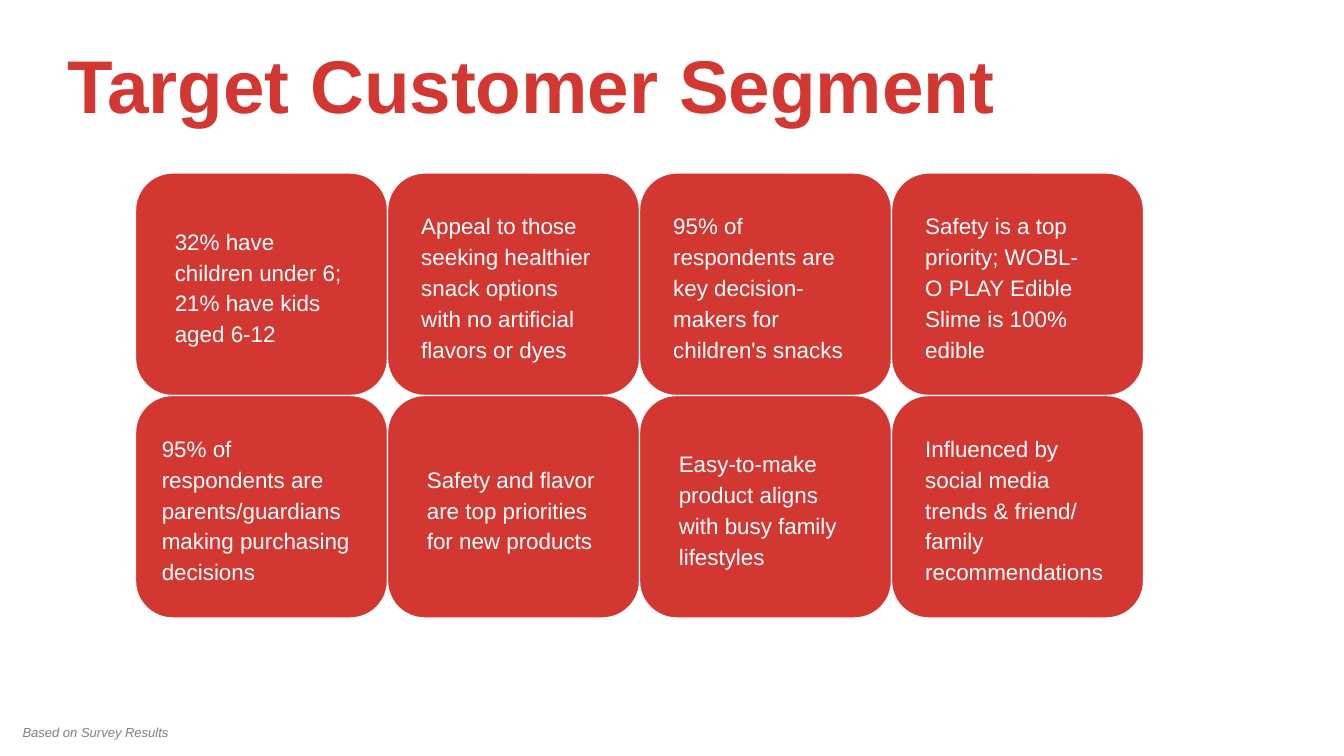
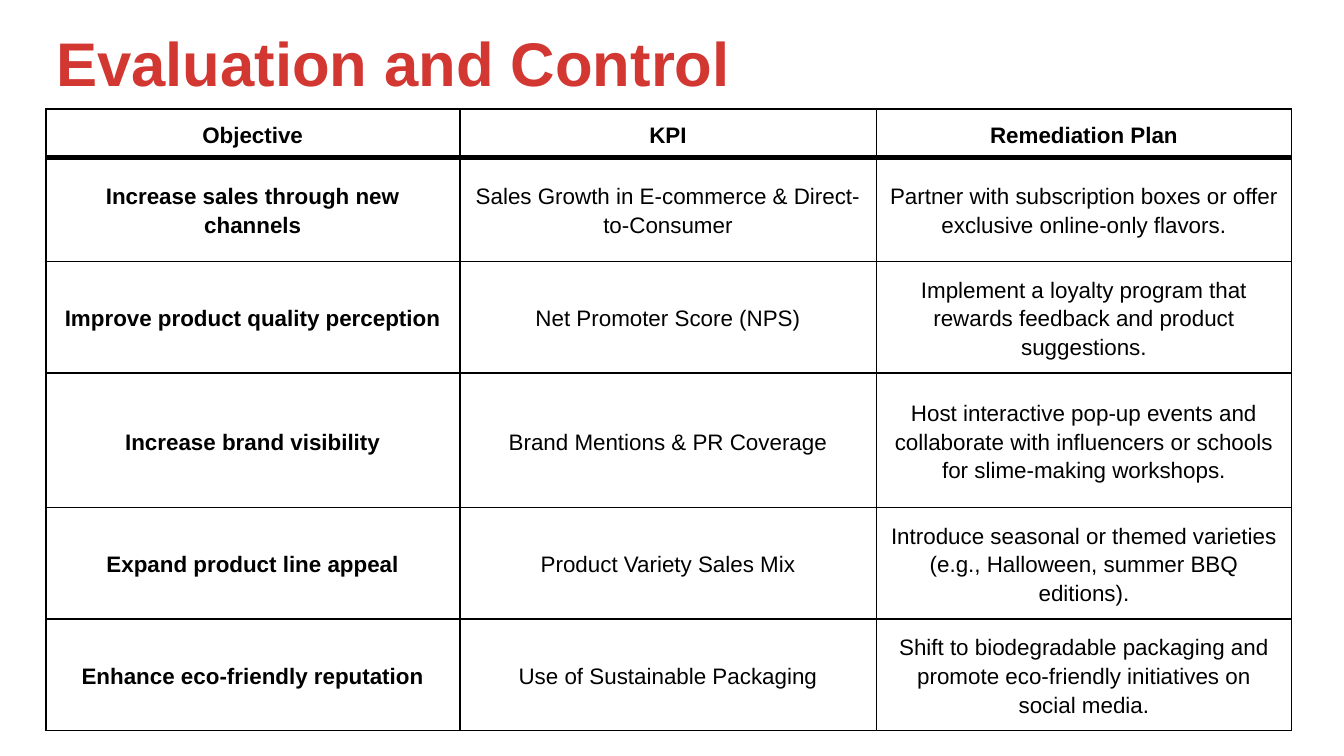
from dataclasses import dataclass

from lxml import etree
from pptx import Presentation
from pptx import util as u
from pptx.dml.color import RGBColor
from pptx.enum import shapes, text
from pptx.oxml import ns


@dataclass(frozen=True)
class Theme:
    font: str = "Arial"
    red: str = "D23732"
    white: str = "FFFFFF"
    black: str = "000000"
    grey: str = "7F7F7F"
    body_size: float = 12
    note_size: float = 7
    line_spacing: float = 1.15
    inset: float = 7.2
    right_inset: float = 9.4
    rule: float = 1
    header_rule: float = 3


THEME = Theme()

CARD_LEFT, CARD_TOP = 72.6, 92.7
CARD_WIDTH, CARD_HEIGHT = 135, 119.2
CARDS_PER_ROW = 4
CARD_LINE, CARD_PADDING = 16.55, 13

# text, lines, text offset from the card edge, text width
CARDS = [
    ("32% have children under 6; 21% have kids aged 6-12", 4, 14, 107.2),
    ("Appeal to those seeking healthier snack options with no artificial flavors or dyes", 5, 11, 113),
    ("95% of respondents are key decision- makers for children's snacks", 5, 11, 113),
    ("Safety is a top priority; WOBL-O PLAY Edible Slime is 100% edible", 5, 11, 107.2),
    ("95% of respondents are parents/guardians making purchasing decisions", 5, 7, 121),
    ("Safety and flavor are top priorities for new products", 3, 14, 107.2),
    ("Easy-to-make product aligns with busy family lifestyles", 4, 14, 107.2),
    ("Influenced by social media trends & friend/ family recommendations", 5, 11, 113),
]

COLUMN_WIDTHS = [221.8, 223.2, 222.5]
ROW_HEIGHTS = [26, 55.6, 59.8, 72, 59.8, 59.8]
TABLE_ROWS = [
    ("Objective", "KPI", "Remediation Plan"),
    ("Increase sales through new channels",
     "Sales Growth in E-commerce & Direct-to-Consumer",
     "Partner with subscription boxes or offer exclusive online-only flavors."),
    ("Improve product quality perception",
     "Net Promoter Score (NPS)",
     "Implement a loyalty program that rewards feedback and product suggestions."),
    ("Increase brand visibility",
     "Brand Mentions & PR Coverage",
     "Host interactive pop-up events and collaborate with influencers or schools "
     "for slime-making workshops."),
    ("Expand product line appeal",
     "Product Variety Sales Mix",
     "Introduce seasonal or themed varieties (e.g., Halloween, summer BBQ editions)."),
    ("Enhance eco-friendly reputation",
     "Use of Sustainable Packaging",
     "Shift to biodegradable packaging and promote eco-friendly initiatives on social media."),
]


def color(value):
    return RGBColor.from_string(value)


def write(frame, words, size, ink, bold=False, italic=False,
          align=text.PP_ALIGN.LEFT, spacing=THEME.line_spacing):
    paragraph = frame.paragraphs[0]
    paragraph.alignment = align
    paragraph.line_spacing = spacing
    run = paragraph.add_run()
    run.text = words
    run.font.name = THEME.font
    run.font.size = u.Pt(size)
    run.font.bold = bold
    run.font.italic = italic
    run.font.color.rgb = color(ink)


def set_frame(frame, anchor, right=THEME.inset, auto_size=text.MSO_AUTO_SIZE.NONE):
    frame.word_wrap = True
    frame.auto_size = auto_size
    frame.vertical_anchor = anchor
    frame.margin_left = frame.margin_top = frame.margin_bottom = u.Pt(THEME.inset)
    frame.margin_right = u.Pt(right)


def add_titled_slide(presentation, words, box, size, anchor):
    slide = presentation.slides.add_slide(presentation.slide_layouts.get_by_name("Title Only"))
    title = slide.shapes.title
    title.left, title.top, title.width, title.height = map(u.Pt, box)
    set_frame(title.text_frame, anchor)
    write(title.text_frame, words, size, THEME.red, bold=True)
    return slide


def add_card(slide, index, words, lines, offset, width):
    row, column = divmod(index, CARDS_PER_ROW)
    left = CARD_LEFT + column * CARD_WIDTH
    top = CARD_TOP + row * CARD_HEIGHT
    card = slide.shapes.add_shape(shapes.MSO_SHAPE.ROUNDED_RECTANGLE,
                                  *map(u.Pt, (left, top, CARD_WIDTH, CARD_HEIGHT)))
    card.shadow.inherit = False
    card.fill.solid()
    card.fill.fore_color.rgb = color(THEME.red)
    card.line.color.rgb = color(THEME.white)
    card.line.width = u.Pt(0.75)

    height = CARD_PADDING + lines * CARD_LINE
    label = slide.shapes.add_textbox(
        *map(u.Pt, (left + offset, top + (CARD_HEIGHT - height) / 2, width, height)))
    set_frame(label.text_frame, text.MSO_ANCHOR.TOP, THEME.right_inset,
              text.MSO_AUTO_SIZE.SHAPE_TO_FIT_TEXT)
    write(label.text_frame, words, THEME.body_size, THEME.white)


def add_source_note(slide, words):
    note = slide.shapes.add_textbox(*map(u.Pt, (5, 374.4, 705, 36)))
    set_frame(note.text_frame, text.MSO_ANCHOR.MIDDLE)
    write(note.text_frame, words, THEME.note_size, THEME.grey, italic=True, spacing=1.0)


def set_borders(cell, top, bottom):
    properties = cell._tc.get_or_add_tcPr()
    widths = {"lnL": THEME.rule, "lnR": THEME.rule, "lnT": top, "lnB": bottom}
    for position, (side, width) in enumerate(widths.items()):
        line = etree.Element(ns.qn(f"a:{side}"), w=str(u.Pt(width)))
        fill = etree.SubElement(line, ns.qn("a:solidFill"))
        etree.SubElement(fill, ns.qn("a:srgbClr"), val=THEME.black)
        properties.insert(position, line)


def add_plan_table(slide, rows):
    frame = slide.shapes.add_table(
        len(rows), len(COLUMN_WIDTHS),
        *map(u.Pt, (24.5, 58.5, sum(COLUMN_WIDTHS), sum(ROW_HEIGHTS))))
    table = frame.table
    table.first_row = table.horz_banding = False
    for column, width in zip(table.columns, COLUMN_WIDTHS):
        column.width = u.Pt(width)
    for row, height in zip(table.rows, ROW_HEIGHTS):
        row.height = u.Pt(height)
    for r, row in enumerate(rows):
        for c, words in enumerate(row):
            cell = table.cell(r, c)
            cell.fill.background()
            cell.vertical_anchor = text.MSO_ANCHOR.MIDDLE
            set_borders(cell,
                        top=THEME.header_rule if r == 1 else THEME.rule,
                        bottom=THEME.header_rule if r == 0 else THEME.rule)
            write(cell.text_frame, words, THEME.body_size, THEME.black,
                  bold=r == 0 or c == 0, align=text.PP_ALIGN.CENTER)


def main():
    presentation = Presentation()
    presentation.slide_width, presentation.slide_height = u.Pt(720), u.Pt(405)

    segment = add_titled_slide(presentation, "Target Customer Segment",
                               (28.8, 13, 558.7, 56.9), 40, text.MSO_ANCHOR.MIDDLE)
    for index, card in enumerate(CARDS):
        add_card(segment, index, *card)
    add_source_note(segment, "Based on Survey Results")

    evaluation = add_titled_slide(presentation, "Evaluation and Control",
                                  (23, 0, 671, 46.8), 33, text.MSO_ANCHOR.TOP)
    add_plan_table(evaluation, TABLE_ROWS)

    presentation.save("out.pptx")


if __name__ == "__main__":
    main()
